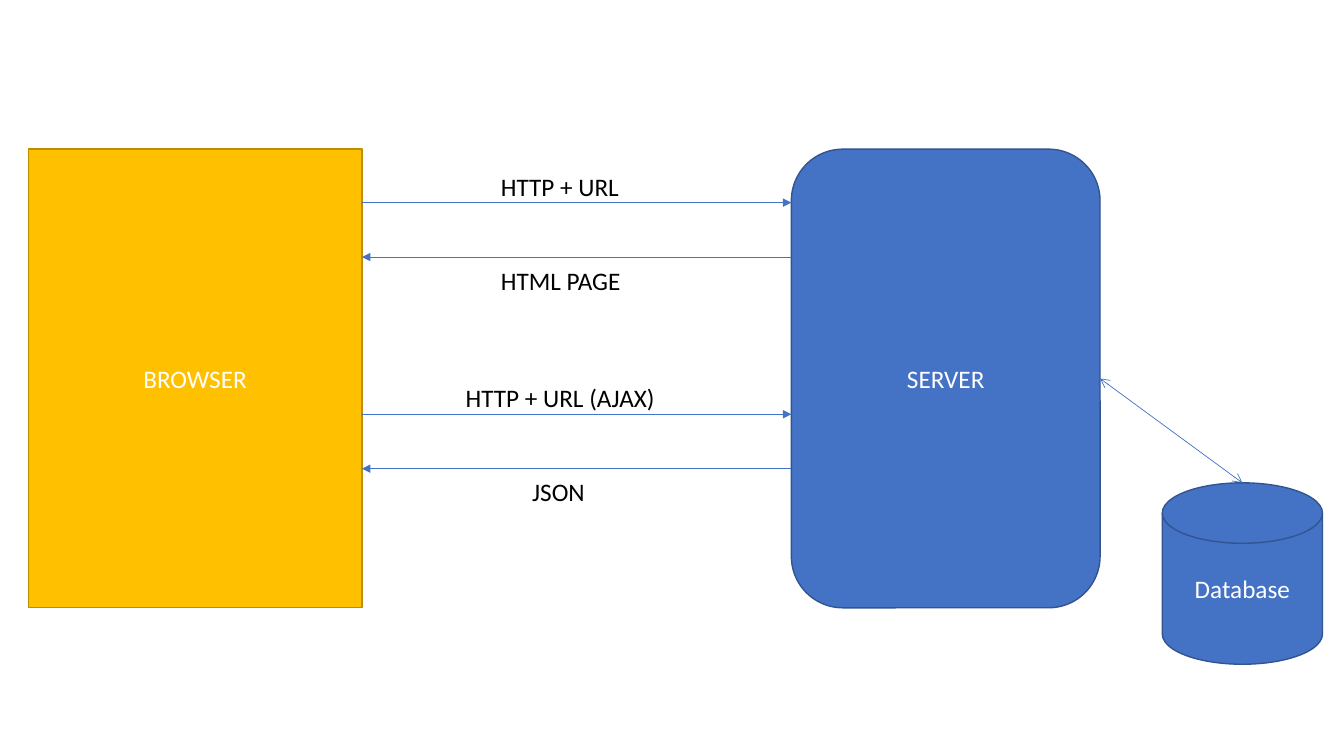
from lxml.etree import SubElement
from pptx import Presentation
from pptx.dml.color import RGBColor
from pptx.enum.shapes import MSO_CONNECTOR, MSO_SHAPE
from pptx.enum.text import MSO_ANCHOR, MSO_AUTO_SIZE, PP_ALIGN
from pptx.oxml.ns import qn
from pptx.util import Inches, Pt

SLIDE_WIDTH, SLIDE_HEIGHT = Inches(13.33), Inches(7.5)

BLUE = RGBColor(0x44, 0x72, 0xC4)
DARK_BLUE = RGBColor(0x32, 0x54, 0x91)
AMBER = RGBColor(0xFF, 0xC0, 0x00)
DARK_AMBER = RGBColor(0xBD, 0x8E, 0x00)
WHITE = RGBColor(0xFF, 0xFF, 0xFF)
BLACK = RGBColor(0x00, 0x00, 0x00)

# Shared positions, in percent of the slide's width (x) or height (y)
BROWSER_LEFT, BROWSER_RIGHT = 2.1, 26.93
SERVER_LEFT, SERVER_RIGHT = 58.88, 81.85
NODE_TOP, NODE_HEIGHT = 19.73, 60.67
DATABASE_LEFT, DATABASE_TOP, DATABASE_WIDTH = 86.48, 63.87, 11.92
FIRST_REQUEST, EXCHANGE_STEP, REPLY_GAP = 26.8, 28, 7.2
LABEL_HEIGHT, LABEL_RISE, LABEL_DROP = 5.33, 4.85, 0.4

# Request and reply of each exchange: text, left, width
EXCHANGES = [
    (("HTTP + URL", 36.53, 10.43), ("HTML PAGE", 36.53, 10.5)),
    (("HTTP + URL (AJAX)", 33.91, 15.75), ("JSON", 38.86, 5.48)),
]


def x(percent):
    return round(SLIDE_WIDTH * percent / 100)


def y(percent):
    return round(SLIDE_HEIGHT * percent / 100)


def write_text(shape, text, color, alignment):
    paragraph = shape.text_frame.paragraphs[0]
    paragraph.text = text
    paragraph.alignment = alignment
    paragraph.font.name = "Calibri"
    paragraph.font.size = Pt(18)
    paragraph.font.color.rgb = color


def add_node(slide, kind, text, left, top, width, height, fill, outline):
    shape = slide.shapes.add_shape(kind, x(left), y(top), x(width), y(height))
    shape.shadow.inherit = False
    shape.fill.solid()
    shape.fill.fore_color.rgb = fill
    shape.line.color.rgb = outline
    shape.line.width = Pt(1)
    shape.text_frame.vertical_anchor = MSO_ANCHOR.MIDDLE
    write_text(shape, text, WHITE, PP_ALIGN.CENTER)


def add_arrow(slide, start, end, heads):
    connector = slide.shapes.add_connector(
        MSO_CONNECTOR.STRAIGHT, x(start[0]), y(start[1]), x(end[0]), y(end[1]))
    connector.line.color.rgb = BLUE
    connector.line.width = Pt(0.5)
    properties = connector._element.spPr
    for tag, head in heads.items():
        SubElement(properties.find(qn("a:ln")), qn(tag), type=head)
    SubElement(properties, qn("a:effectLst"))


def add_label(slide, text, left, top, width):
    box = slide.shapes.add_textbox(x(left), y(top), x(width), y(LABEL_HEIGHT))
    box.text_frame.word_wrap = False
    box.text_frame.auto_size = MSO_AUTO_SIZE.SHAPE_TO_FIT_TEXT
    write_text(box, text, BLACK, PP_ALIGN.LEFT)


def add_exchange(slide, request_y, request, reply):
    reply_y = request_y + REPLY_GAP
    heads = {"a:tailEnd": "triangle"}
    add_arrow(slide, (BROWSER_RIGHT, request_y), (SERVER_LEFT, request_y), heads)
    add_arrow(slide, (SERVER_LEFT, reply_y), (BROWSER_RIGHT, reply_y), heads)
    for (text, left, width), top in ((request, request_y - LABEL_RISE),
                                     (reply, reply_y + LABEL_DROP)):
        add_label(slide, text, left, top, width)


def main():
    presentation = Presentation()
    presentation.slide_width = SLIDE_WIDTH
    presentation.slide_height = SLIDE_HEIGHT
    slide = presentation.slides.add_slide(presentation.slide_layouts[6])

    # Database, server and browser
    add_node(slide, MSO_SHAPE.FLOWCHART_MAGNETIC_DISK, "Database",
             DATABASE_LEFT, DATABASE_TOP, DATABASE_WIDTH, 24, BLUE, DARK_BLUE)
    add_node(slide, MSO_SHAPE.ROUNDED_RECTANGLE, "SERVER", SERVER_LEFT, NODE_TOP,
             SERVER_RIGHT - SERVER_LEFT, NODE_HEIGHT, BLUE, DARK_BLUE)
    add_node(slide, MSO_SHAPE.RECTANGLE, "BROWSER", BROWSER_LEFT, NODE_TOP,
             BROWSER_RIGHT - BROWSER_LEFT, NODE_HEIGHT, AMBER, DARK_AMBER)

    # Requests and replies between browser and server
    for index, (request, reply) in enumerate(EXCHANGES):
        add_exchange(slide, FIRST_REQUEST + index * EXCHANGE_STEP, request, reply)

    # Two-way link between database and server
    add_arrow(slide, (DATABASE_LEFT + DATABASE_WIDTH / 2, DATABASE_TOP),
              (SERVER_RIGHT, NODE_TOP + NODE_HEIGHT / 2),
              {"a:headEnd": "arrow", "a:tailEnd": "arrow"})

    presentation.save("out.pptx")


if __name__ == "__main__":
    main()
